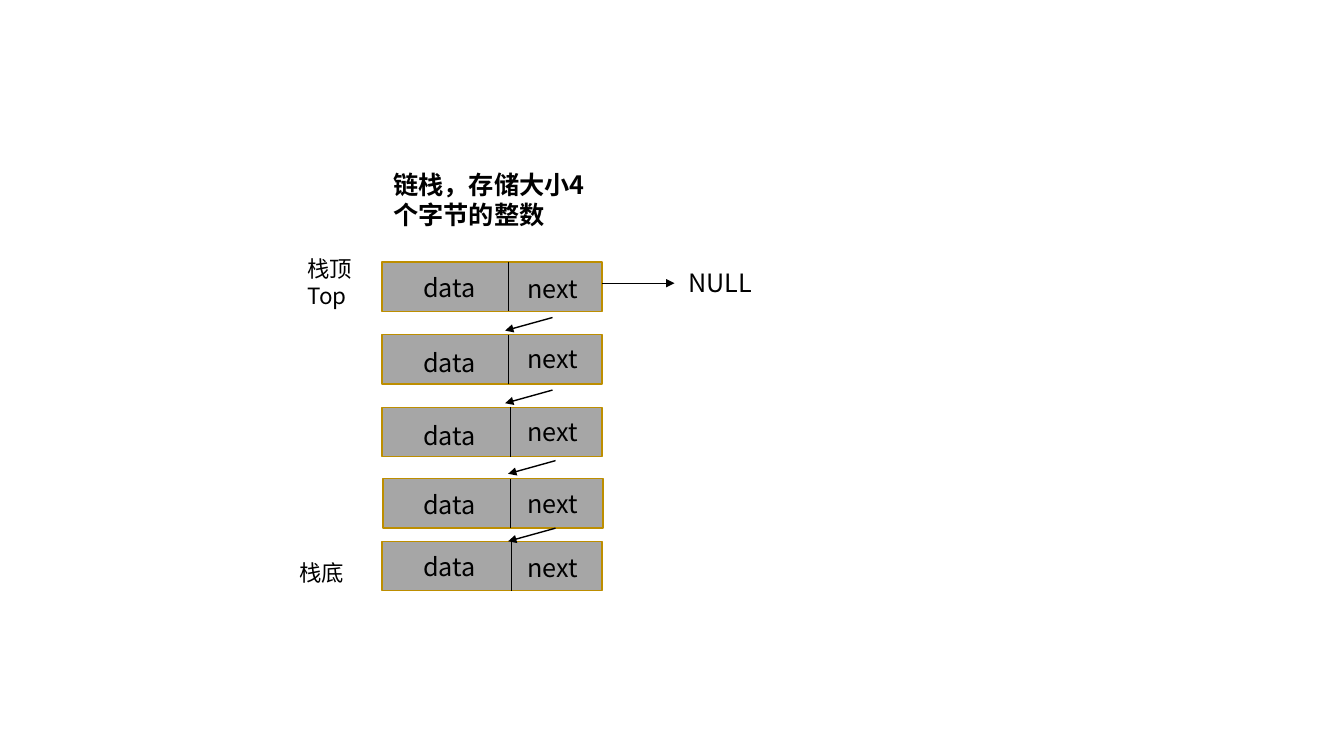
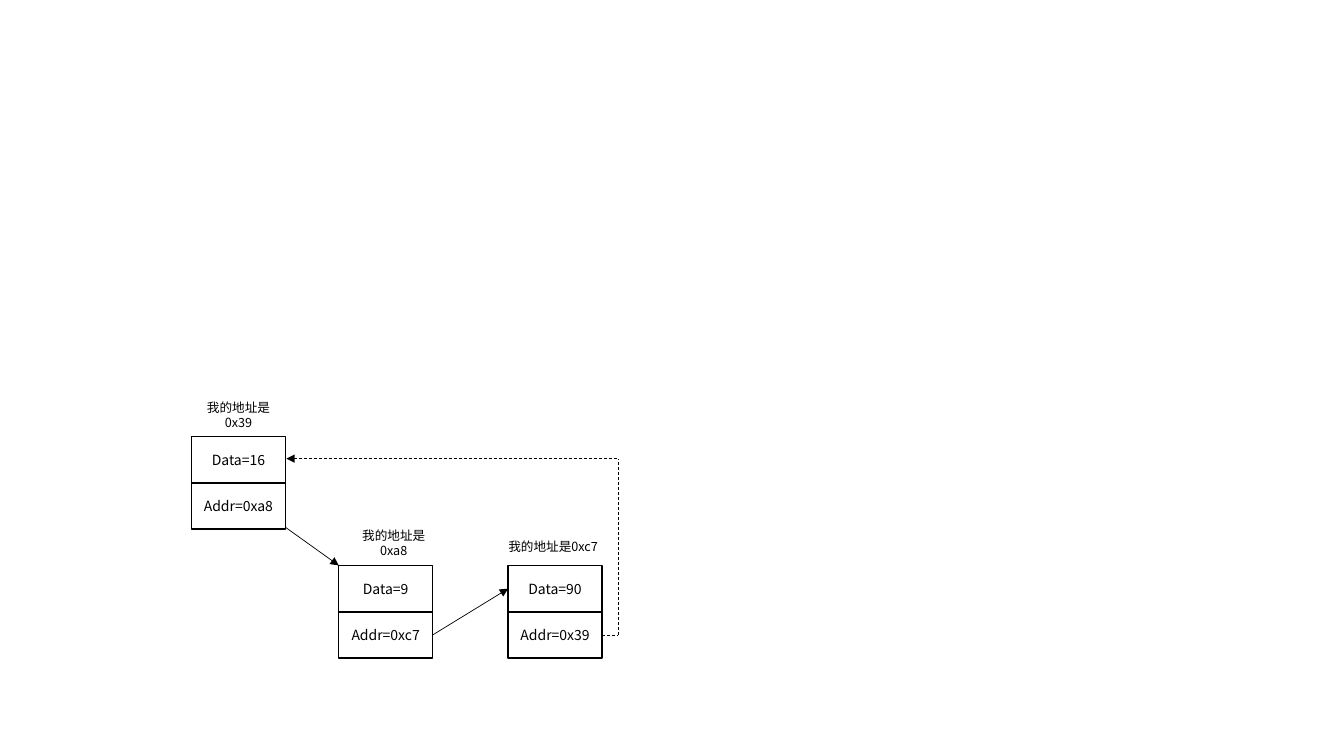
from dataclasses import dataclass

from lxml import etree
from pptx import Presentation
from pptx.dml.color import RGBColor
from pptx.enum.dml import MSO_LINE
from pptx.enum.shapes import MSO_CONNECTOR, MSO_SHAPE
from pptx.enum.text import MSO_ANCHOR, MSO_AUTO_SIZE, PP_ALIGN
from pptx.oxml.ns import qn
from pptx.util import Inches, Pt

RECTANGLE = MSO_SHAPE.RECTANGLE
STRAIGHT = MSO_CONNECTOR.STRAIGHT
DASH = MSO_LINE.DASH
TOP, MIDDLE = MSO_ANCHOR.TOP, MSO_ANCHOR.MIDDLE
LEFT, CENTER = PP_ALIGN.LEFT, PP_ALIGN.CENTER
FIXED, GROW = MSO_AUTO_SIZE.NONE, MSO_AUTO_SIZE.SHAPE_TO_FIT_TEXT

# Shared style
FONT = "Noto Sans CJK SC"
BLACK, WHITE, GREY, GOLD = "000000", "FFFFFF", "A6A6A6", "BD8E00"
TITLE_ONLY, BLANK = 5, 6


@dataclass(frozen=True)
class StackRow:
    left: float
    top: float
    divider: float
    data_top: float
    next_top: float


@dataclass(frozen=True)
class Label:
    text: str
    left: float
    top: float
    width: float
    height: float
    size: float


@dataclass(frozen=True)
class ListNode:
    data: str
    target: str
    left: float
    top: float
    label: Label


@dataclass(frozen=True)
class Line:
    start: tuple[float, float]
    end: tuple[float, float]
    width: float = 0.5
    head: bool = False
    tail: bool = False
    dashed: bool = False


def colour(value: str) -> RGBColor:
    return RGBColor.from_string(value)


def write(shape, text: str, size: float, bold: bool = False,
          align=LEFT, anchor=TOP, fit=FIXED) -> None:
    frame = shape.text_frame
    frame.word_wrap = True
    frame.auto_size = fit
    frame.vertical_anchor = anchor
    para = frame.paragraphs[0]
    para.alignment = align
    span = para.add_run()
    span.text = text
    span.font.name = FONT
    span.font.size = Pt(size)
    span.font.bold = bold
    span.font.color.rgb = colour(BLACK)
    east_asian = etree.SubElement(span.font._element, qn("a:ea"))
    east_asian.set("typeface", FONT)


def add_label(page, label: Label) -> None:
    box = page.shapes.add_textbox(Inches(label.left), Inches(label.top),
                                  Inches(label.width), Inches(label.height))
    write(box, label.text, label.size, fit=GROW)


def add_box(shapes, left: float, top: float, width: float, height: float,
            line: str, fill: str | None = None):
    box = shapes.add_shape(RECTANGLE, Inches(left), Inches(top),
                           Inches(width), Inches(height))
    box.shadow.inherit = False
    box.line.color.rgb = colour(line)
    box.line.width = Pt(1)
    if fill:
        box.fill.solid()
        box.fill.fore_color.rgb = colour(fill)
    else:
        box.fill.background()
    return box


def add_line(page, line: Line) -> None:
    points = [Inches(value) for value in (*line.start, *line.end)]
    connector = page.shapes.add_connector(STRAIGHT, *points)
    connector.line.color.rgb = colour(BLACK)
    connector.line.width = Pt(line.width)
    if line.dashed:
        connector.line.dash_style = DASH
    properties = connector._element.spPr
    outline = properties.find(qn("a:ln"))
    for wanted, tag in ((line.head, "a:headEnd"), (line.tail, "a:tailEnd")):
        if wanted:
            etree.SubElement(outline, qn(tag)).set("type", "triangle")
    etree.SubElement(properties, qn("a:effectLst"))


# Slide 1: linked stack
ROW_WIDTH, ROW_HEIGHT = 2.18, 0.49
STACK_TITLE = Label("链栈，存储大小4个字节的整数", 3.8, 1.63, 2.31, 0.71, 18)
STACK_ROWS = [
    StackRow(3.79, 2.6, 5.04, 2.65, 2.66),
    StackRow(3.79, 3.32, 5.04, 3.4, 3.36),
    StackRow(3.79, 4.04, 5.06, 4.12, 4.08),
    StackRow(3.8, 4.75, 5.06, 4.81, 4.8),
    StackRow(3.79, 5.37, 5.07, 5.42, 5.43),
]
STACK_LABELS = [
    Label("栈顶Top", 2.95, 2.48, 0.74, 0.64, 16),
    Label("栈底", 2.87, 5.5, 0.74, 0.37, 16),
    Label("NULL", 6.73, 2.6, 0.94, 0.4, 18),
]
STACK_ARROWS = [Line((x, y), (x - 0.47, y + 0.13), width=1, tail=True)
                for x, y in ((5.48, 3.15), (5.48, 3.87), (5.51, 4.57), (5.51, 5.24))]
NULL_ARROW = Line((5.97, 2.81), (6.69, 2.81), width=1, tail=True)


def build_stack(deck) -> None:
    page = deck.slides.add_slide(deck.slide_layouts[TITLE_ONLY])
    title = page.shapes.title
    title.left, title.top = Inches(STACK_TITLE.left), Inches(STACK_TITLE.top)
    title.width, title.height = Inches(STACK_TITLE.width), Inches(STACK_TITLE.height)
    write(title, STACK_TITLE.text, STACK_TITLE.size, bold=True)
    for row in STACK_ROWS:
        add_box(page.shapes, row.left, row.top, ROW_WIDTH, ROW_HEIGHT, GOLD, GREY)
        add_line(page, Line((row.divider, row.top), (row.divider, row.top + ROW_HEIGHT)))
        add_label(page, Label("data", 4.1, row.data_top, 0.88, 0.4, 18))
        add_label(page, Label("next", 5.13, row.next_top, 0.76, 0.4, 18))
    for label in STACK_LABELS:
        add_label(page, label)
    for arrow in (*STACK_ARROWS, NULL_ARROW):
        add_line(page, arrow)


# Slide 2: circular linked list
CELL_WIDTH, CELL_HEIGHT = 0.93, 0.46


def address_label(address: str, left: float, top: float) -> Label:
    return Label(f"我的地址是{address}", left, top, 1.09, 0.33, 9)


LIST_NODES = [
    ListNode("16", "0xa8", 1.9, 4.33, address_label("0x39", 1.82, 3.95)),
    ListNode("9", "0xc7", 3.36, 5.61, address_label("0xa8", 3.36, 5.22)),
    ListNode("90", "0x39", 5.04, 5.61, address_label("0xc7", 4.94, 5.26)),
]
LIST_LINKS = [
    Line((2.83, 5.23), (3.36, 5.61), tail=True),
    Line((4.29, 6.3), (5.04, 5.84), tail=True),
    Line((5.97, 6.3), (6.13, 6.3), dashed=True),
    Line((6.13, 6.3), (6.13, 4.55), dashed=True),
    Line((2.84, 4.55), (6.13, 4.55), head=True, dashed=True),
]


def build_list(deck) -> None:
    page = deck.slides.add_slide(deck.slide_layouts[BLANK])
    for node in LIST_NODES:
        group = page.shapes.add_group_shape()
        for index, text in enumerate((f"Data={node.data}", f"Addr={node.target}")):
            cell = add_box(group.shapes, node.left, node.top + index * CELL_HEIGHT,
                           CELL_WIDTH, CELL_HEIGHT, BLACK)
            write(cell, text, 10, align=CENTER, anchor=MIDDLE)
        label = node.label
        box = add_box(page.shapes, label.left, label.top, label.width, label.height, WHITE)
        write(box, label.text, label.size, align=CENTER, anchor=MIDDLE)
    for link in LIST_LINKS:
        add_line(page, link)


deck = Presentation()
deck.slide_width, deck.slide_height = Inches(13.33), Inches(7.5)
build_stack(deck)
build_list(deck)
deck.save("out.pptx")
